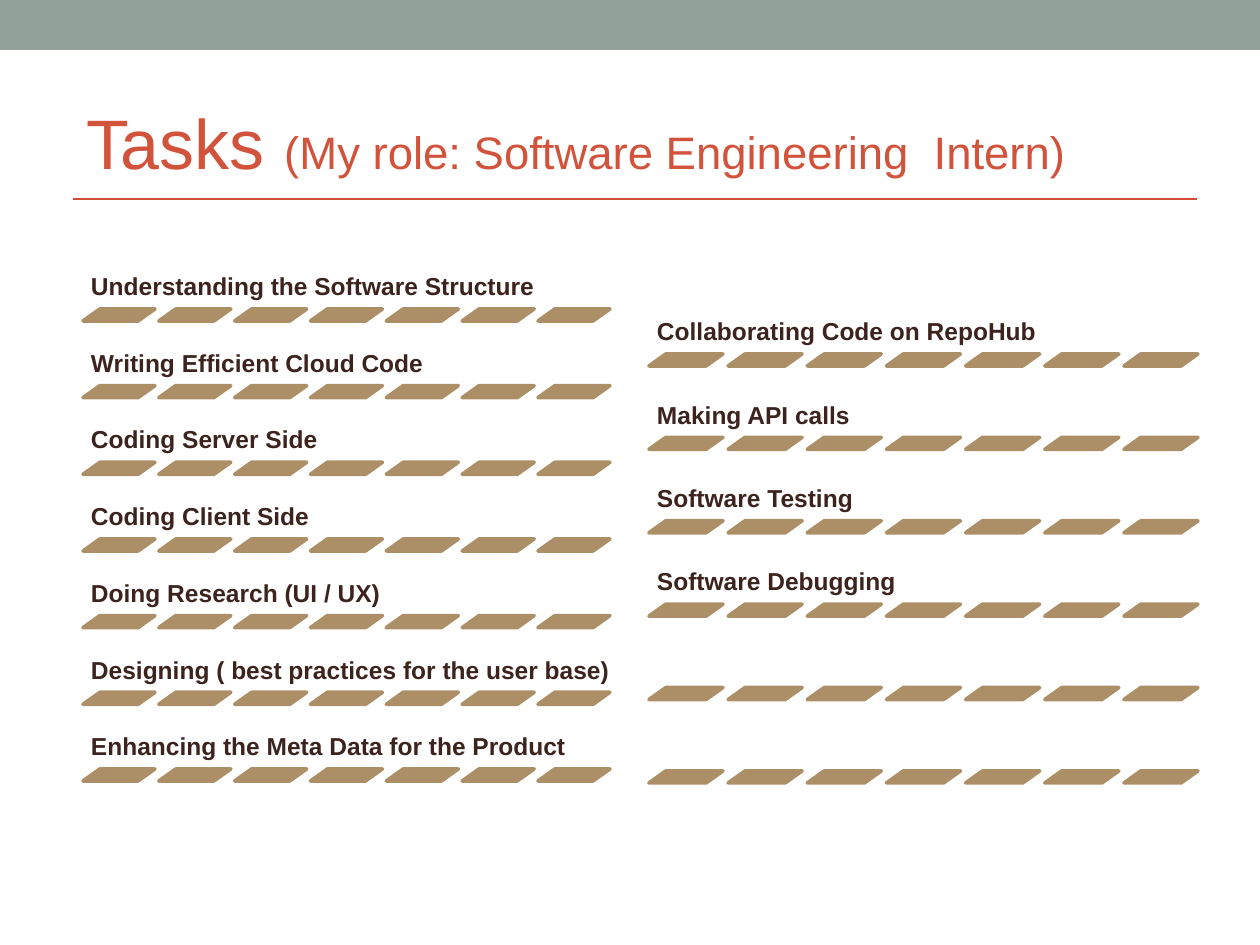
from dataclasses import dataclass

from lxml import etree
from pptx import Presentation
from pptx.dml.color import RGBColor
from pptx.enum.shapes import MSO_CONNECTOR, MSO_SHAPE
from pptx.enum.text import MSO_ANCHOR, MSO_AUTO_SIZE, PP_ALIGN
from pptx.oxml.ns import qn
from pptx.util import Pt

RECT, DASH = MSO_SHAPE.RECTANGLE, MSO_SHAPE.PARALLELOGRAM
STRAIGHT = MSO_CONNECTOR.STRAIGHT
MIDDLE, BOTTOM = MSO_ANCHOR.MIDDLE, MSO_ANCHOR.BOTTOM
NO_FIT, LEFT = MSO_AUTO_SIZE.NONE, PP_ALIGN.LEFT

EMU_PER_PX = 914400 / 126
COLORS = {"band": "93A299", "title": "D2533C", "rule": "D14D37",
          "label": "3C231E", "dash": "AD8F67"}
DASHES_PER_ROW = 7
DASH_HEIGHT = 12
DASH_SLANT = 1.408


@dataclass
class TaskColumn:
    """Rows of tasks; the first and last dash positions set the grid."""
    first_x: int
    last_x: int
    first_y: int
    last_y: int
    dash_width: int
    label_width: int
    label_height: int
    tasks: list[str]


COLUMNS = [
    TaskColumn(83, 538, 309, 769, 72, 538, 49, [
        "Understanding the Software Structure",
        "Writing Efficient Cloud Code",
        "Coding Server Side",
        "Coding Client Side",
        "Doing Research (UI / UX)",
        "Designing ( best practices for the user base)",
        "Enhancing the Meta Data for the Product",
    ]),
    TaskColumn(649, 1124, 354, 771, 74, 561, 53, [
        "Collaborating Code on RepoHub",
        "Making API calls",
        "Software Testing",
        "Software Debugging",
        "",
        "",
    ]),
]


def px(value: float) -> int:
    return round(value * EMU_PER_PX)


def rgb(name: str) -> RGBColor:
    return RGBColor.from_string(COLORS[name])


def spread(first: int, last: int, count: int) -> list[float]:
    """Equally spaced positions from first to last."""
    return [first + (last - first) * i / (count - 1) for i in range(count)]


def add_filled(s, kind, x: float, y: float, w: int, h: int, color: str):
    sp = s.shapes.add_shape(kind, px(x), px(y), px(w), px(h))
    sp.shadow.inherit = False
    sp.fill.solid()
    sp.fill.fore_color.rgb = rgb(color)
    sp.line.fill.background()
    return sp


def format_frame(tf, anchor, inset_x: int, inset_y: int) -> None:
    values = {"word_wrap": True, "auto_size": NO_FIT, "vertical_anchor": anchor,
              "margin_left": px(inset_x), "margin_right": px(inset_x),
              "margin_top": px(inset_y), "margin_bottom": px(inset_y)}
    for name, value in values.items():
        setattr(tf, name, value)


def add_run(p, text: str, size: int, color: str, bold: bool = False) -> None:
    r = p.add_run()
    r.text = text
    for name, value in {"name": "Arial", "size": Pt(size), "bold": bold}.items():
        setattr(r.font, name, value)
    r.font.color.rgb = rgb(color)


def add_title(s) -> None:
    sp = s.shapes.title
    box = {"left": 73, "top": 73, "width": 1134, "height": 136}
    for name, value in box.items():
        setattr(sp, name, px(value))
    format_frame(sp.text_frame, MIDDLE, 13, 6)
    p = sp.text_frame.paragraphs[0]
    p.alignment = LEFT
    add_run(p, "Tasks ", 40, "title")
    add_run(p, "(My role: Software Engineering  Intern)", 26, "title")


def add_title_rule(s) -> None:
    line = s.shapes.add_connector(STRAIGHT, px(73), px(199), px(1197), px(199))
    line.line.color.rgb = rgb("rule")
    line.line.width = Pt(1.5)
    etree.SubElement(line._element.spPr, qn("a:effectLst"))


def add_label(s, column: TaskColumn, y: float, text: str) -> None:
    """Place a task's label so that it ends at the top of its dashes."""
    sp = s.shapes.add_textbox(px(column.first_x), px(y - column.label_height),
                              px(column.label_width), px(column.label_height))
    format_frame(sp.text_frame, BOTTOM, 8, 8)
    p = sp.text_frame.paragraphs[0]
    p.line_spacing = 0.9
    add_run(p, text, 14, "label", bold=True)


def add_column(s, column: TaskColumn) -> None:
    rows = spread(column.first_y, column.last_y, len(column.tasks))
    for y, task in zip(rows, column.tasks):
        if task:
            add_label(s, column, y, task)
        for x in spread(column.first_x, column.last_x, DASHES_PER_ROW):
            sp = add_filled(s, DASH, x, y, column.dash_width, DASH_HEIGHT, "dash")
            sp.adjustments[0] = DASH_SLANT
            sp.line.color.rgb = rgb("dash")
            sp.line.width = Pt(2.07)


def main() -> None:
    prs = Presentation()
    prs.slide_width, prs.slide_height = px(1260), px(945)
    s = prs.slides.add_slide(prs.slide_layouts[5])
    add_filled(s, RECT, 0, 0, 1260, 50, "band")
    add_title(s)
    for column in COLUMNS:
        add_column(s, column)
    add_title_rule(s)
    prs.save("out.pptx")


if __name__ == "__main__":
    main()
